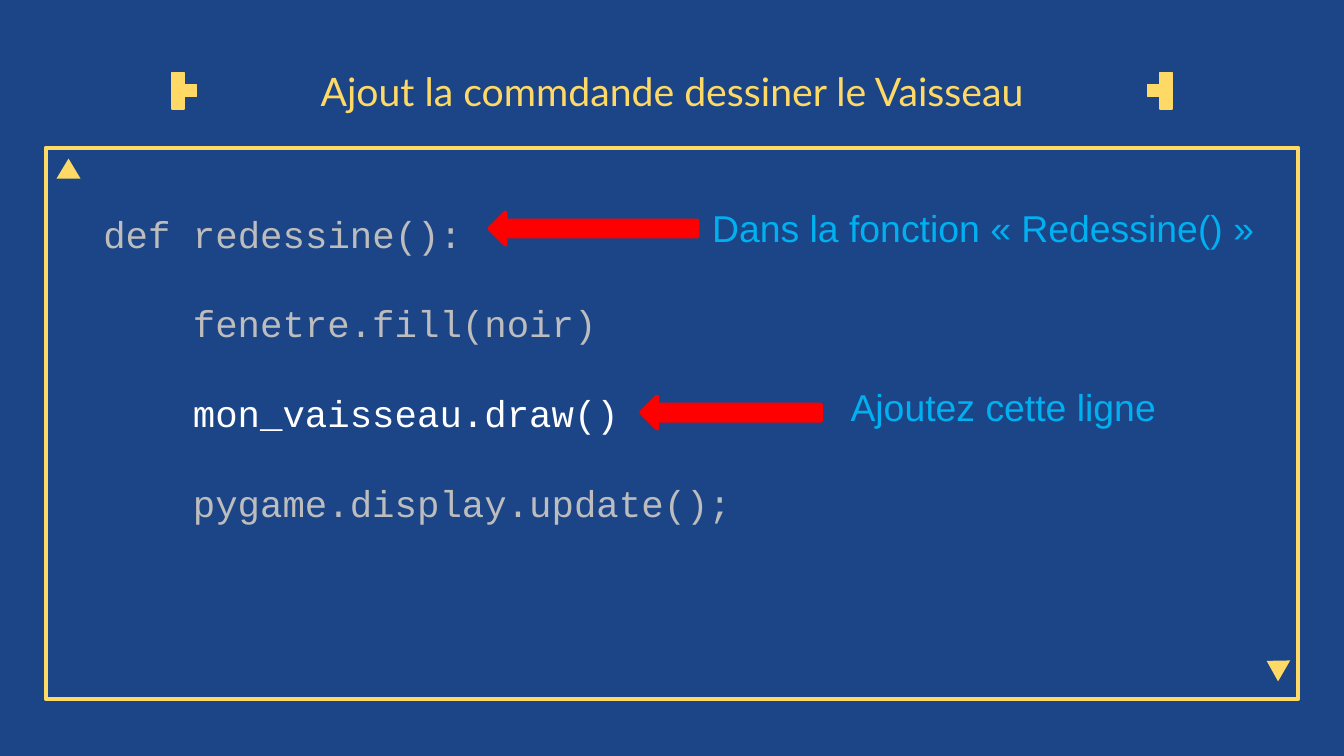
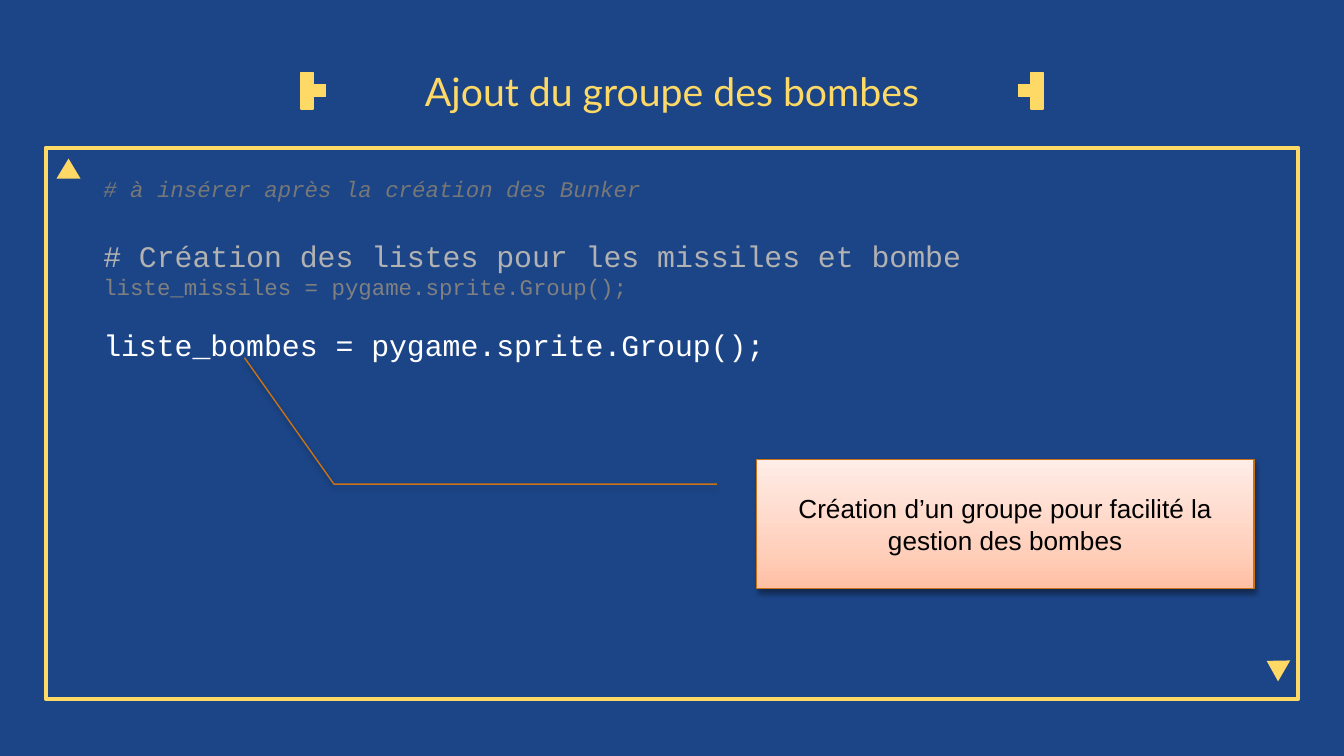
from copy import deepcopy

from lxml.etree import SubElement
from pptx import Presentation
from pptx.dml.color import RGBColor
from pptx.enum.shapes import MSO_SHAPE
from pptx.enum.text import MSO_ANCHOR, PP_ALIGN
from pptx.oxml.ns import qn
from pptx.util import Inches, Pt

COLORS = {
    "night": "1C4587",
    "gold": "FFD966",
    "red": "FF0000",
    "sky": "00B0F0",
    "white": "FFFFFF",
    "black": "000000",
    "silver": "BDBDBD",
    "ash": "B2B2B2",
    "grey": "808080",
    "dim": "777777",
    "rust": "C97216",
    "peach": "FFC0A4",
    "apricot": "FFD2BF",
    "cream": "FFEDE7",
}
SLIDE_WIDTH = 10
FRAME_LEFT, FRAME_WIDTH = 0.34, 9.32
PIXEL = 0.09
LINE_HEIGHT = 1.2
CODE_CHAR_WIDTH = 0.6


def rgb(name):
    return RGBColor.from_string(COLORS[name])


class Deck:
    def __init__(self):
        self.presentation = Presentation()
        self.presentation.slide_width = Inches(SLIDE_WIDTH)
        self.presentation.slide_height = Inches(5.625)
        self.slide = None

    def new_slide(self, title, bracket_left):
        self.slide = self.presentation.slides.add_slide(self.presentation.slide_layouts[6])
        self.slide.background.fill.solid()
        self.slide.background.fill.fore_color.rgb = rgb("night")
        self.shape(MSO_SHAPE.RECTANGLE, FRAME_LEFT, 1.1, FRAME_WIDTH, 4.1, line="gold", weight=2.25)
        self.title(title)
        self.brackets(bracket_left)
        self.shape(MSO_SHAPE.ISOSCELES_TRIANGLE, 0.42, 1.18, 0.18, 0.15, fill="gold")
        self.shape(MSO_SHAPE.ISOSCELES_TRIANGLE, 9.4, 4.88, 0.18, 0.15, fill="gold", rotation=300)

    def shape(self, kind, left, top, width, height, fill=None, line=None, weight=0.75, rotation=0):
        shape = self.slide.shapes.add_shape(
            kind, Inches(left), Inches(top), Inches(width), Inches(height))
        shape.shadow.inherit = False
        shape.rotation = rotation
        if fill:
            shape.fill.solid()
            shape.fill.fore_color.rgb = rgb(fill)
        else:
            shape.fill.background()
        if line:
            shape.line.color.rgb = rgb(line)
            shape.line.width = Pt(weight)
        else:
            shape.line.fill.background()
        return shape

    def text_frame(self, left, top, width, height, wrap=True):
        box = self.slide.shapes.add_textbox(
            Inches(left), Inches(top), Inches(width), Inches(height))
        box.text_frame.word_wrap = wrap
        return box.text_frame

    def fill_paragraph(self, paragraph, text, font, size, color, italic=False):
        paragraph.text = text
        for run in paragraph.runs:
            run.font.name = font
            run.font.size = Pt(size)
            run.font.color.rgb = rgb(color)
            run.font.italic = italic

    def title(self, text):
        frame = self.text_frame(FRAME_LEFT, 0.32, FRAME_WIDTH, 0.63)
        frame.vertical_anchor = MSO_ANCHOR.BOTTOM
        frame.margin_top = frame.margin_bottom = Inches(0.1)
        self.fill_paragraph(frame.paragraphs[0], text, "Lato", 21, "gold")
        frame.paragraphs[0].alignment = PP_ALIGN.CENTER

    def brackets(self, left):
        for column, row in ((0, 2), (0, 1), (0, 0), (1, 1)):
            x = left + column * PIXEL
            for pixel_left in (x, SLIDE_WIDTH - x - PIXEL):
                self.shape(MSO_SHAPE.RECTANGLE, pixel_left, 0.54 + row * PIXEL,
                           PIXEL, PIXEL, fill="gold", line="gold")

    def code(self, top, lines):
        frame = self.text_frame(0.67, top, 8.71, 5.06 - top)
        frame.margin_left = frame.margin_right = Inches(0.1)
        frame.margin_top = frame.margin_bottom = Inches(0.1)
        for index, (text, size, color, gap, indent, italic) in enumerate(lines):
            paragraph = frame.add_paragraph() if index else frame.paragraphs[0]
            self.fill_paragraph(paragraph, text, "Courier New", size, color, italic)
            paragraph.line_spacing = Pt(size * LINE_HEIGHT)
            paragraph.space_before = Pt(gap * LINE_HEIGHT)
            margin = Pt(indent * size * CODE_CHAR_WIDTH)
            paragraph._p.get_or_add_pPr().set("marL", str(margin))

    def arrow(self, left, top, width):
        self.shape(MSO_SHAPE.RIGHT_ARROW, left, top, width, 0.24,
                   fill="red", line="red", weight=2, rotation=180)

    def label(self, text, left, top, width):
        frame = self.text_frame(left, top, width, 0.44, wrap=False)
        self.fill_paragraph(frame.paragraphs[0], text, "Arial", 20, "sky")

    def callout(self, text, left, top, width, height, pointer):
        callout = self.shape(MSO_SHAPE.LINE_CALLOUT_2, left, top, width, height, line="rust")
        for index, value in enumerate(pointer):
            callout.adjustments[index] = value
        self.callout_gradient(callout)
        self.callout_shadow(callout)
        frame = callout.text_frame
        frame.word_wrap = True
        frame.vertical_anchor = MSO_ANCHOR.MIDDLE
        self.fill_paragraph(frame.paragraphs[0], text, "Arial", 14, "black")
        frame.paragraphs[0].alignment = PP_ALIGN.CENTER

    def callout_gradient(self, callout):
        callout.fill.gradient()
        callout.fill.gradient_angle = 90
        stop_list = callout._element.spPr.find(".//" + qn("a:gsLst"))
        stop_list.append(deepcopy(stop_list[0]))
        tints = ((0, "peach"), (0.35, "apricot"), (1, "cream"))
        for stop, (position, tint) in zip(callout.fill.gradient_stops, tints):
            stop.position = position
            stop.color.rgb = rgb(tint)

    def callout_shadow(self, callout):
        effects = callout._element.spPr.find(qn("a:effectLst"))
        shadow = SubElement(effects, qn("a:outerShdw"), blurRad=str(Pt(3.1)),
                            dist=str(Pt(1.6)), dir="5400000", rotWithShape="0")
        tone = SubElement(shadow, qn("a:srgbClr"), val=COLORS["black"])
        SubElement(tone, qn("a:alpha"), val="38000")


def build_draw_slide(deck):
    deck.new_slide("Ajout la commdande dessiner le Vaisseau", 1.28)
    deck.code(1.47, [
        ("def redessine():", 20, "silver", 0, 0, False),
        ("fenetre.fill(noir)", 20, "silver", 20, 4, False),
        ("mon_vaisseau.draw()", 20, "white", 20, 4, False),
        ("pygame.display.update();", 20, "silver", 20, 4, False),
    ])
    deck.arrow(4.77, 2.95, 1.34)
    deck.label("Ajoutez cette ligne", 6.23, 2.81, 2.49)
    deck.arrow(3.64, 1.58, 1.55)
    deck.label("Dans la fonction « Redessine() »", 5.2, 1.48, 4.27)


def build_bombs_slide(deck):
    deck.new_slide("Ajout du groupe des bombes", 2.24)
    deck.code(1.2, [
        ("# à insérer après la création des Bunker", 12, "dim", 0, 0, True),
        ("# Création des listes pour les missiles et bombe", 16, "ash", 16, 0, False),
        ("liste_missiles = pygame.sprite.Group();", 12, "grey", 0, 0, False),
        ("liste_bombes = pygame.sprite.Group();", 16, "white", 12, 0, False),
    ])
    deck.callout("Création d’un groupe pour facilité la gestion des bombes",
                 5.63, 3.42, 3.7, 0.96, (0.19, -0.08, 0.19, -0.85, -0.79, -1.03))


def main():
    deck = Deck()
    build_draw_slide(deck)
    build_bombs_slide(deck)
    deck.presentation.save("out.pptx")


if __name__ == "__main__":
    main()
